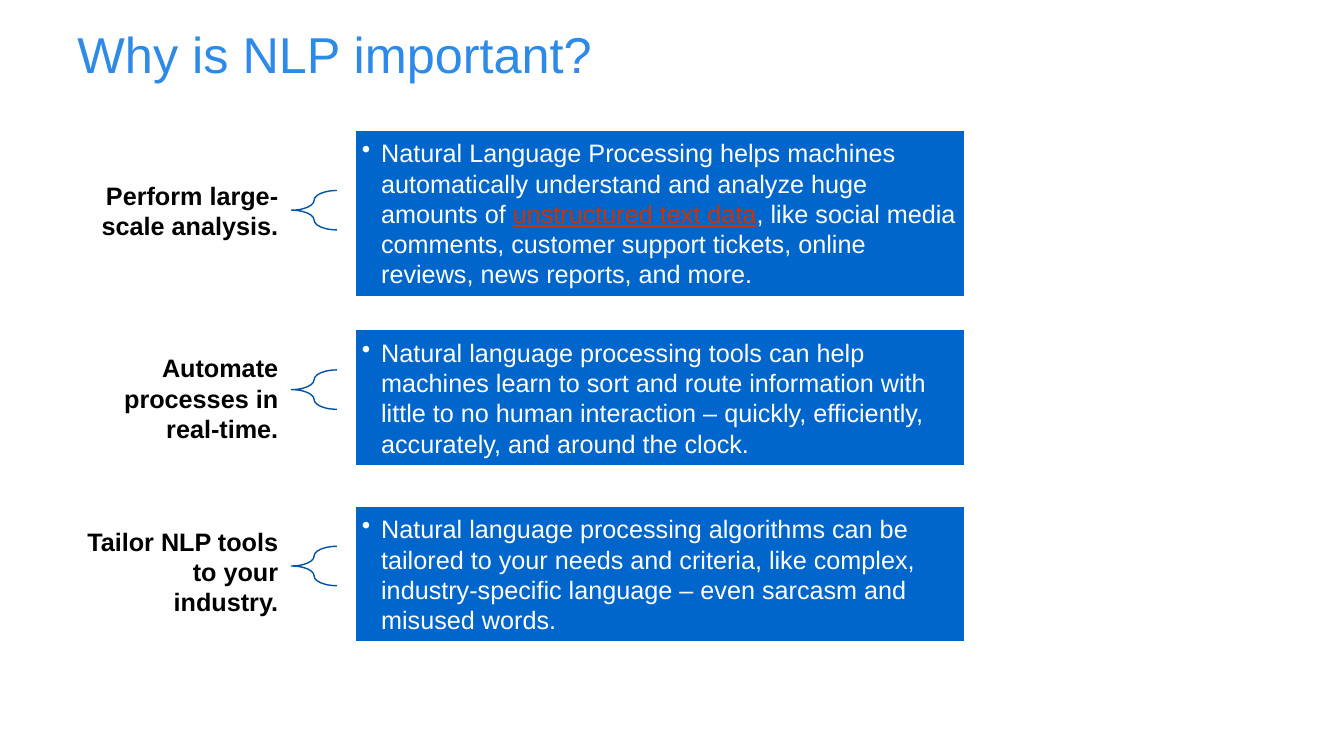
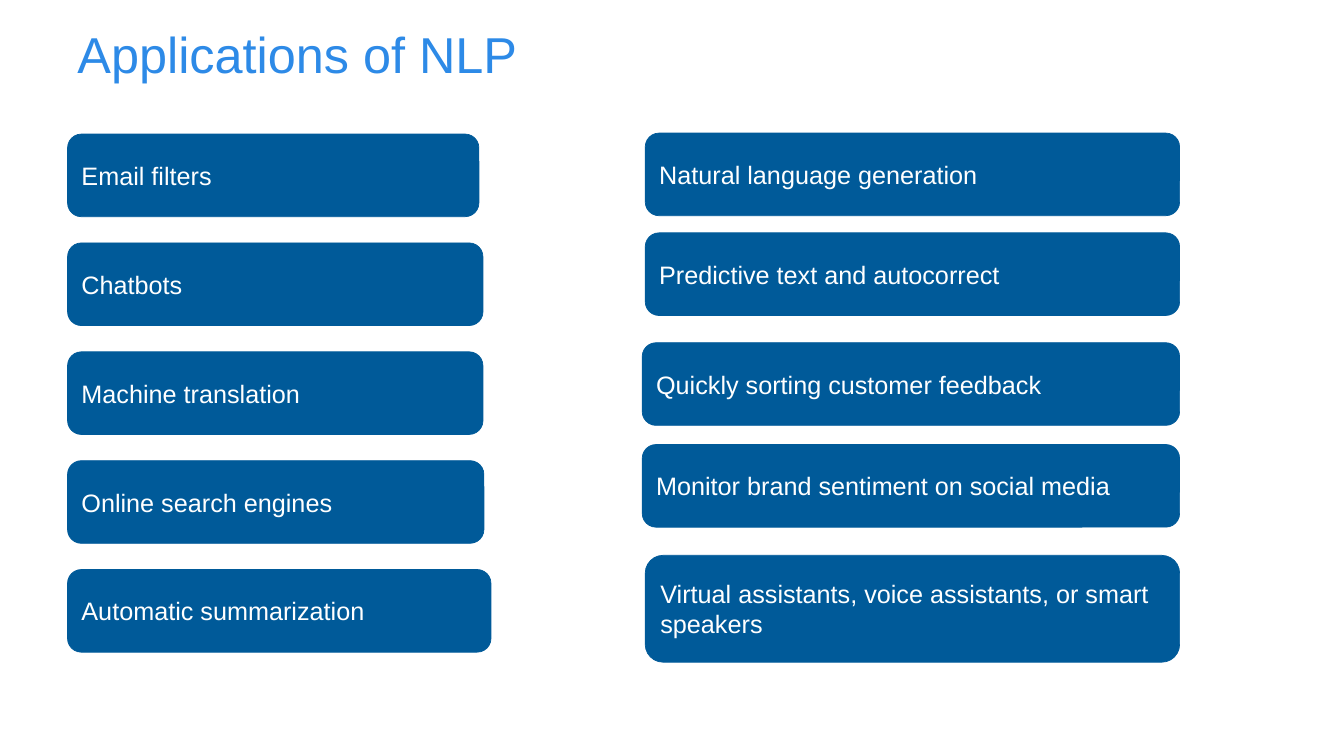
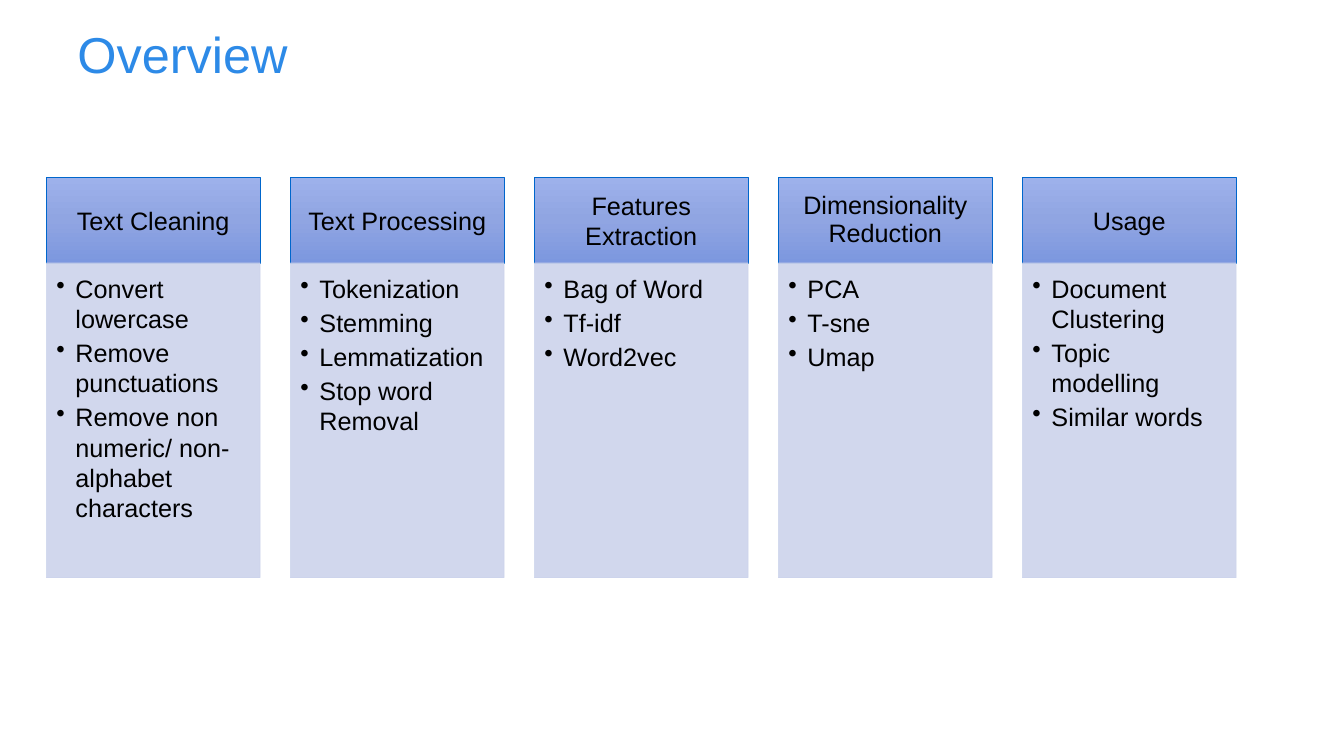
"""Build three slides on why NLP matters, where it is used and how it works."""
from copy import deepcopy
from dataclasses import dataclass

from lxml import etree
from pptx import Presentation
from pptx.dml.color import RGBColor
from pptx.enum import shapes, text
from pptx.oxml.ns import qn
from pptx.util import Inches, Pt


@dataclass(frozen=True)
class Theme:
    """Colours, font and type sizes."""
    font: str = "Arial"
    head: int = 36
    body: int = 18
    title: str = "2D8AE7"
    ink: str = "000000"
    white: str = "FFFFFF"
    bar: str = "0066CC"
    brace: str = "0052A3"
    pill: str = "005A99"
    link: str = "CC3300"
    panel: str = "CCD3EC"
    fade: tuple = ("9DB1EB", "90A5E2", "7C97DF")


T = Theme()
KIND = shapes.MSO_SHAPE
ALIGN = text.PP_ALIGN
MID = text.MSO_ANCHOR.MIDDLE
TOP = text.MSO_ANCHOR.TOP

REASONS = [
    dict(label="Perform large-scale analysis.", mid=2.09, brace=1.89, top=1.29, high=1.65,
         body=["Natural Language Processing helps machines automatically understand "
               "and analyze huge amounts of ",
               ("unstructured text data", T.link),
               ", like social media comments, customer support tickets, online reviews, "
               "news reports, and more."]),
    dict(label="Automate processes in real-time.", mid=3.95, brace=3.67, top=3.27, high=1.35,
         body=["Natural language processing tools can help machines learn to sort and route "
               "information with little to no human interaction – quickly, efficiently, "
               "accurately, and around the clock."]),
    dict(label="Tailor NLP tools to your industry.", mid=5.67, brace=5.42, top=5.02, high=1.35,
         body=["Natural language processing algorithms can be tailored to your needs and "
               "criteria, like complex, industry-specific language – even sarcasm and "
               "misused words."]),
]

LEFT = [
    ("Email filters", 4.08),
    ("Chatbots", 4.12),
    ("Machine translation", 4.12),
    ("Online search engines", 4.13),
    ("Automatic summarization", 4.2),
]
RIGHT = [
    ("Natural language generation", 6.4, 1.32, 0.82),
    ("Predictive text and autocorrect", 6.4, 2.31, 0.82),
    ("Quickly sorting customer feedback", 6.37, 3.4, 0.82),
    ("Monitor brand sentiment on social media", 6.37, 4.41, 0.82),
    ("Virtual assistants, voice assistants, or smart speakers", 6.4, 5.51, 1.06),
]

STEPS = [
    ("Text Cleaning", 1, ["Convert lowercase", "Remove punctuations",
                          "Remove non numeric/ non-alphabet characters"]),
    ("Text Processing", 1, ["Tokenization", "Stemming", "Lemmatization", "Stop word Removal"]),
    ("Features Extraction", 1, ["Bag of Word", "Tf-idf", "Word2vec"]),
    ("Dimensionality Reduction", 0.9, ["PCA", "T-sne", "Umap"]),
    ("Usage", 1, ["Document Clustering", "Topic modelling", "Similar words"]),
]


def rgb(code):
    """Turn a hex code into a colour."""
    return RGBColor.from_string(code)


def write(box, paras, size=T.body, color=T.ink, bold=False, align=ALIGN.LEFT, anchor=MID,
          inset=(0.1, 0.05, 0.1, 0.05), bullet=False, after=0, lead=1):
    """Fill a box with paragraphs; each is a string or a list of runs."""
    frame = box.text_frame
    frame.word_wrap = True
    frame.vertical_anchor = anchor
    (frame.margin_left, frame.margin_top,
     frame.margin_right, frame.margin_bottom) = map(Inches, inset)
    for i, runs in enumerate(paras):
        para = frame.add_paragraph() if i else frame.paragraphs[0]
        if bullet:
            props = para._p.get_or_add_pPr()
            props.set("marL", str(Inches(0.19)))
            props.set("indent", str(Inches(-0.19)))
            etree.SubElement(props, qn("a:buChar")).set("char", "•")
        para.alignment = align
        para.line_spacing = lead
        para.space_after = Pt(after)
        for part in [runs] if isinstance(runs, str) else runs:
            plain = isinstance(part, str)
            run = para.add_run()
            run.text = part if plain else part[0]
            run.font.name = T.font
            run.font.size = Pt(size)
            run.font.bold = bold
            run.font.underline = not plain
            run.font.color.rgb = rgb(color if plain else part[1])


def label(slide, place, words, **form):
    """Add a text box."""
    write(slide.shapes.add_textbox(*map(Inches, place)), [words], **form)


def shape(slide, kind, place, line, width, fill=None):
    """Add a preset shape with a plain, faded or empty fill."""
    item = slide.shapes.add_shape(kind, *map(Inches, place))
    item.shadow.inherit = False
    item.line.color.rgb = rgb(line)
    item.line.width = Pt(width)
    if fill is None:
        item.fill.background()
    elif isinstance(fill, str):
        item.fill.solid()
        item.fill.fore_color.rgb = rgb(fill)
    else:
        item.fill.gradient()
        item.fill.gradient_angle = 270
        stops = item.element.find(".//" + qn("a:gsLst"))
        stops.insert(1, deepcopy(stops[0]))
        for i, (stop, code) in enumerate(zip(item.fill.gradient_stops, fill)):
            stop.position = i / 2
            stop.color.rgb = rgb(code)
    return item


def sheer(item, share):
    """Set the opacity of the fill and line of a shape."""
    for code in item.element.spPr.iter(qn("a:srgbClr")):
        etree.SubElement(code, qn("a:alpha")).set("val", str(share * 1000))


def page(deck, title):
    """Add a blank slide with the shared title."""
    slide = deck.slides.add_slide(deck.slide_layouts[6])
    label(slide, (0.67, 0.21, 12, 0.64), title, size=T.head, color=T.title)
    return slide


def reasons(deck):
    """Draw the labels, braces and bars."""
    slide = page(deck, "Why is NLP important?")
    for row in REASONS:
        label(slide, (0.67, row["mid"] - 0.5, 2.23, 1), row["label"], bold=True,
              align=ALIGN.RIGHT, inset=(0.14, 0.05, 0.14, 0.05))
        brace = shape(slide, KIND.LEFT_BRACE, (2.89, row["brace"], 0.45, 0.39), T.brace, 1)
        brace.adjustments[0] = 0.35
        bar = shape(slide, KIND.RECTANGLE, (3.52, row["top"], 6.05, row["high"]),
                    T.white, 1, T.bar)
        write(bar, [row["body"]], color=T.white, inset=(0.07,) * 4, bullet=True)


def uses(deck):
    """Draw two columns of pills."""
    slide = page(deck, "Applications of NLP")
    pills = [(name, (0.67, 1.33 + 1.08 * i, wide, 0.82)) for i, (name, wide) in enumerate(LEFT)]
    pills += [(name, (left, top, 11.7 - left, high)) for name, left, top, high in RIGHT]
    for name, place in pills:
        pill = shape(slide, KIND.ROUNDED_RECTANGLE, place, T.pill, 0.5, T.pill)
        write(pill, [name], color=T.white)


def steps(deck):
    """Draw one headed panel per step."""
    slide = page(deck, "Overview")
    for i, (name, lead, items) in enumerate(STEPS):
        left = 0.46 + 2.42 * i
        head = shape(slide, KIND.RECTANGLE, (left, 1.76, 2.12, 0.85), T.bar, 0.5, T.fade)
        write(head, [name], align=ALIGN.CENTER, inset=(0.14, 0.08, 0.14, 0.08), lead=lead)
        panel = shape(slide, KIND.RECTANGLE, (left, 2.61, 2.12, 3.12), T.panel, 0.5, T.panel)
        sheer(panel, 90)
        write(panel, items, anchor=TOP, inset=(0.1, 0.1, 0.14, 0.16), bullet=True, after=2.7)


def main():
    """Build and save the deck."""
    deck = Presentation()
    deck.slide_width, deck.slide_height = Inches(13.33), Inches(7.5)
    for build in (reasons, uses, steps):
        build(deck)
    deck.save("out.pptx")


if __name__ == "__main__":
    main()
